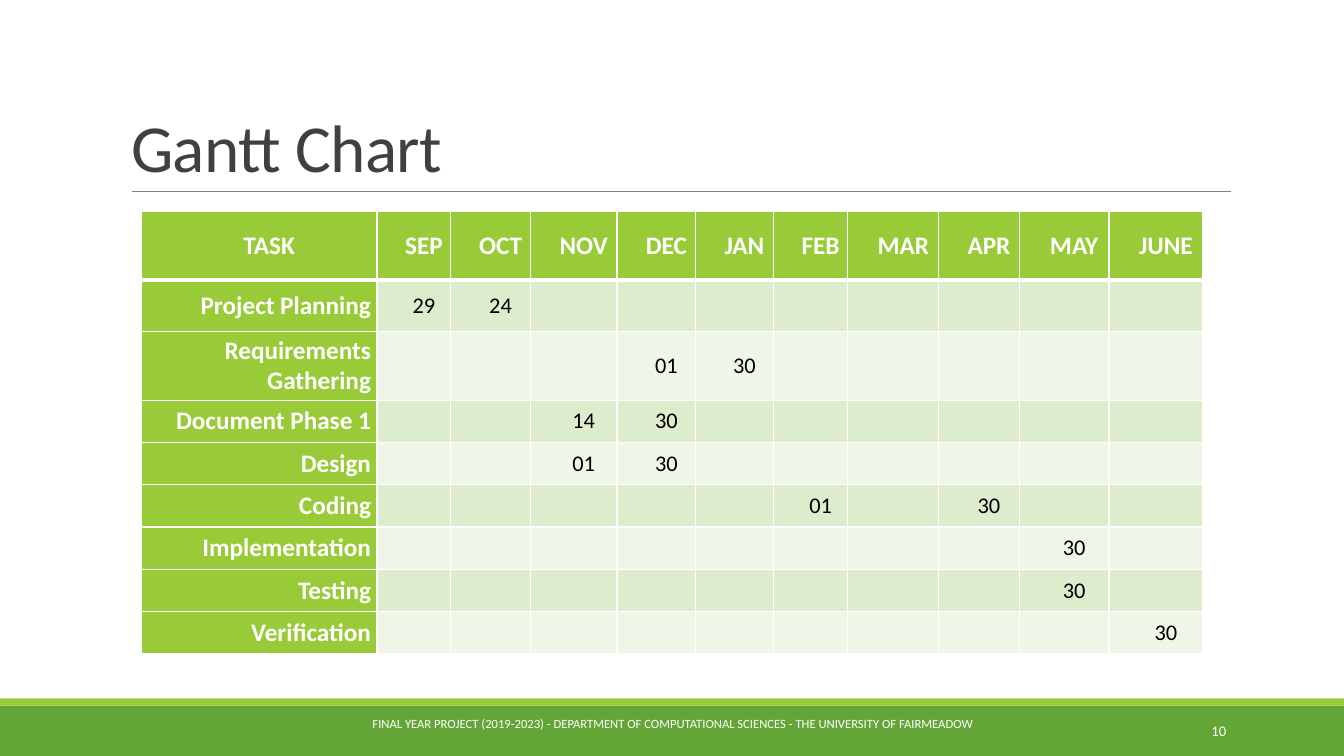
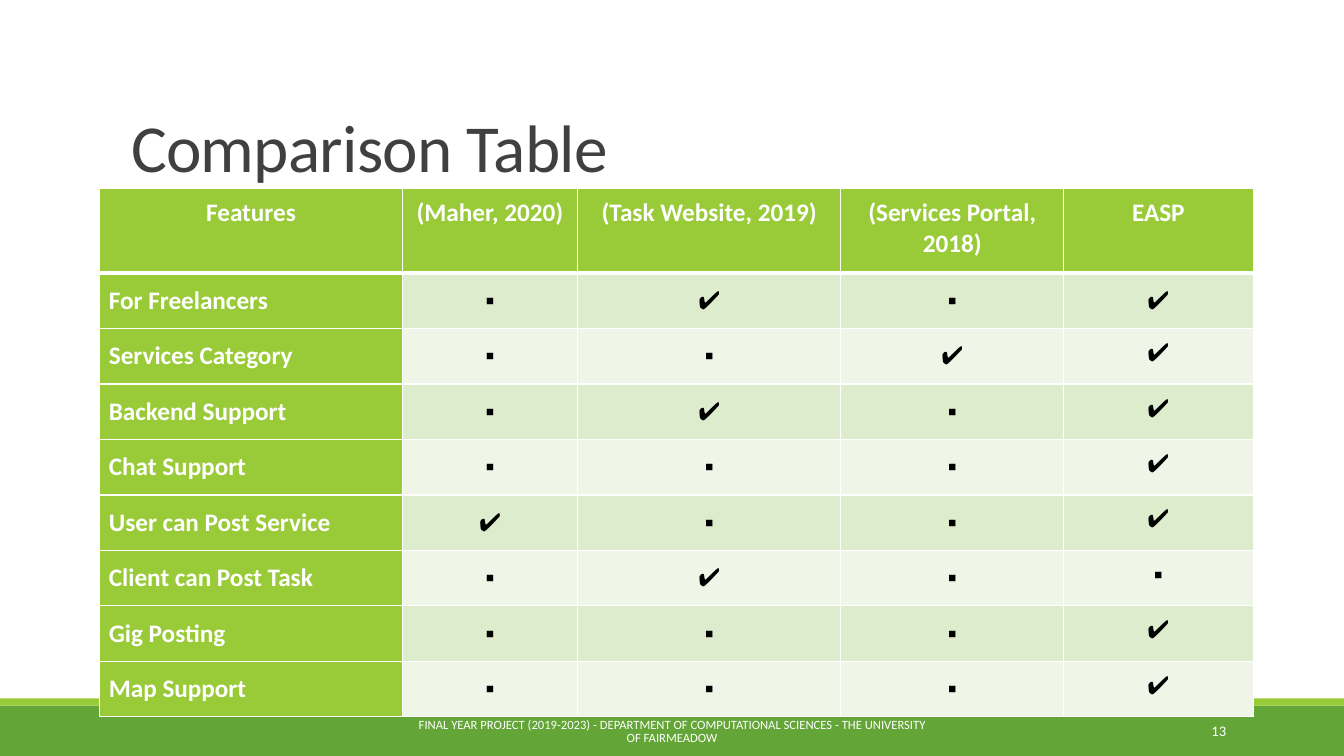
import pptx
import pptx.dml.color
import pptx.enum.shapes
import pptx.enum.text
import pptx.oxml
import pptx.oxml.ns
import pptx.util

Inches = pptx.util.Inches
Pt = pptx.util.Pt
RGBColor = pptx.dml.color.RGBColor
ALIGN = pptx.enum.text.PP_ALIGN
ANCHOR = pptx.enum.text.MSO_ANCHOR

DARK_GREEN = RGBColor(0x63, 0xA5, 0x37)
LIME = RGBColor(0x99, 0xCB, 0x38)
ROW_TINTS = (RGBColor(0xDE, 0xEC, 0xCE), RGBColor(0xEF, 0xF6, 0xE8))
RULE_GREY = RGBColor(0x80, 0x80, 0x80)
TITLE_GREY = RGBColor(0x40, 0x40, 0x40)
WHITE = RGBColor(0xFF, 0xFF, 0xFF)
BLACK = RGBColor(0, 0, 0)
FONT = "Calibri"
FOOTER = ("FINAL YEAR PROJECT (2019-2023) - DEPARTMENT OF COMPUTATIONAL "
          "SCIENCES - THE UNIVERSITY OF FAIRMEADOW")

MONTHS = ["SEP", "OCT", "NOV", "DEC", "JAN", "FEB", "MAR", "APR", "MAY", "JUNE"]
SCHEDULE = {
    "Project Planning": {"SEP": "29", "OCT": "24"},
    "Requirements Gathering": {"DEC": "01", "JAN": "30"},
    "Document Phase 1": {"NOV": "14", "DEC": "30"},
    "Design": {"NOV": "01", "DEC": "30"},
    "Coding": {"FEB": "01", "APR": "30"},
    "Implementation": {"MAY": "30"},
    "Testing": {"MAY": "30"},
    "Verification": {"JUNE": "30"},
}
SERVICES = ["(Maher, 2020)", "(Task Website, 2019)", "(Services Portal, 2018)", "EASP"]
FEATURES = {
    "For Freelancers": "▪✔▪✔",
    "Services Category": "▪▪✔✔",
    "Backend Support": "▪✔▪✔",
    "Chat Support": "▪▪▪✔",
    "User can Post Service": "✔▪▪✔",
    "Client can Post Task": "▪✔▪▪",
    "Gig Posting": "▪▪▪✔",
    "Map Support": "▪▪▪✔",
}


class Deck:
    """Holds the shared style and the slide being built."""

    def __init__(self):
        self.presentation = pptx.Presentation()
        self.presentation.slide_width = Inches(13.33)
        self.presentation.slide_height = Inches(7.5)
        self.slide = None

    def start_slide(self, title, number, footer_box):
        self.slide = self.presentation.slides.add_slide(self.presentation.slide_layouts[5])
        self.band(7, 0.5, DARK_GREEN)
        self.band(6.93, 0.07, LIME)
        self.title_rule()
        self.title(title)
        self.caption(FOOTER, footer_box, 9, ALIGN.CENTER)
        self.caption(number, (10.83, 7.06, 1.43, 0.4), 10.5, ALIGN.RIGHT)

    def format_text(self, frame, size, color, align, bold=False):
        for paragraph in frame.paragraphs:
            paragraph.alignment = align
            for run in paragraph.runs:
                run.font.name = FONT
                run.font.size = Pt(size)
                run.font.bold = bold
                run.font.color.rgb = color

    def band(self, top, height, color):
        band = self.slide.shapes.add_shape(
            pptx.enum.shapes.MSO_SHAPE.RECTANGLE,
            0, Inches(top), self.presentation.slide_width, Inches(height))
        band.shadow.inherit = False
        band.fill.solid()
        band.fill.fore_color.rgb = color
        band.line.fill.background()

    def title_rule(self):
        rule = self.slide.shapes.add_connector(
            pptx.enum.shapes.MSO_CONNECTOR.STRAIGHT,
            Inches(1.31), Inches(1.9), Inches(12.21), Inches(1.9))
        rule.line.color.rgb = RULE_GREY
        rule.line.width = Pt(0.5)
        properties = rule._element.spPr
        properties.append(properties.makeelement(pptx.oxml.ns.qn("a:effectLst"), {}))

    def title(self, text):
        title = self.slide.shapes.title
        title.left, title.top = Inches(1.2), Inches(0.31)
        title.width, title.height = Inches(11), Inches(1.59)
        frame = title.text_frame
        frame.text = text
        frame.auto_size = pptx.enum.text.MSO_AUTO_SIZE.NONE
        frame.vertical_anchor = ANCHOR.BOTTOM
        frame.paragraphs[0].line_spacing = 0.85
        self.format_text(frame, 48, TITLE_GREY, ALIGN.LEFT)
        frame.paragraphs[0].runs[0].font._element.set("spc", "-50")

    def caption(self, text, box, size, align):
        frame = self.slide.shapes.add_textbox(*map(Inches, box)).text_frame
        frame.word_wrap = True
        frame.vertical_anchor = ANCHOR.MIDDLE
        frame.text = text
        frame.paragraphs[0].line_spacing = 0.9
        self.format_text(frame, size, WHITE, align)

    def cell_borders(self, cell, top, bottom):
        """Draw white borders; must run before the cell is filled."""
        properties = cell._tc.get_or_add_tcPr()
        for side, points in (("L", 1), ("R", 1), ("T", top), ("B", bottom)):
            properties.append(pptx.oxml.parse_xml(
                f'<a:ln{side} {pptx.oxml.ns.nsdecls("a")} w="{Pt(points)}">'
                f'<a:solidFill><a:srgbClr val="{WHITE}"/></a:solidFill></a:ln{side}>'))

    def table(self, rows, corner, widths, heights, margins, label_align,
              body_size, header_anchor=ANCHOR.MIDDLE, hanging=None):
        """Draw rows with a lime header row and label column.

        margins is (sides, top and bottom); hanging is (left margin, first-line indent).
        """
        table = self.slide.shapes.add_table(
            len(rows), len(widths), *map(Inches, corner),
            Inches(sum(widths)), Inches(sum(heights))).table
        for column, width in zip(table.columns, widths):
            column.width = Inches(width)
        for row, height in zip(table.rows, heights):
            row.height = Inches(height)
        for r, texts in enumerate(rows):
            for c, text in enumerate(texts):
                cell = table.cell(r, c)
                heading = r == 0 or c == 0
                self.cell_borders(cell, 3 if r == 1 else 1, 3 if r == 0 else 1)
                cell.fill.solid()
                cell.fill.fore_color.rgb = LIME if heading else ROW_TINTS[(r - 1) % 2]
                cell.margin_left = cell.margin_right = Inches(margins[0])
                cell.margin_top = cell.margin_bottom = Inches(margins[1])
                cell.vertical_anchor = header_anchor if r == 0 else ANCHOR.MIDDLE
                cell.text_frame.text = text
                self.format_text(cell.text_frame, 18 if heading else body_size,
                                 WHITE if heading else BLACK,
                                 label_align if c == 0 and r else ALIGN.CENTER, heading)
                if hanging:
                    layout = cell.text_frame.paragraphs[0]._p.get_or_add_pPr()
                    layout.set("marL", str(Inches(hanging[0])))
                    layout.set("indent", str(Inches(hanging[1])))
        return table


def gantt_slide(deck):
    deck.start_slide("Gantt Chart", "10", (3.59, 6.99, 6.16, 0.4))
    rows = [["TASK"] + MONTHS]
    rows += [[task] + [days.get(month, "") for month in MONTHS]
             for task, days in SCHEDULE.items()]
    deck.table(rows, (1.4, 2.1),
               [2.34, 0.73, 0.79, 0.86, 0.78, 0.77, 0.74, 0.9, 0.8, 0.89, 0.93],
               [0.68, 0.51, 0.68] + [0.42] * 6, (0.06, 0), ALIGN.RIGHT, 16,
               hanging=(0.58, -0.38))


def comparison_slide(deck):
    deck.start_slide("Comparison Table", "13", (4.03, 7.06, 5.27, 0.4))
    rows = [["Features"] + SERVICES]
    rows += [[feature, *marks] for feature, marks in FEATURES.items()]
    table = deck.table(rows, (0.99, 1.87), [3, 1.74, 2.61, 2.21, 1.88],
                       [0.84] + [0.55] * len(FEATURES), (0.09, 0.09), ALIGN.LEFT, 18,
                       header_anchor=ANCHOR.TOP)
    for r in range(2, len(rows)):
        table.cell(r, len(SERVICES)).vertical_anchor = ANCHOR.TOP


def main():
    deck = Deck()
    gantt_slide(deck)
    comparison_slide(deck)
    deck.presentation.save("out.pptx")


if __name__ == "__main__":
    main()
